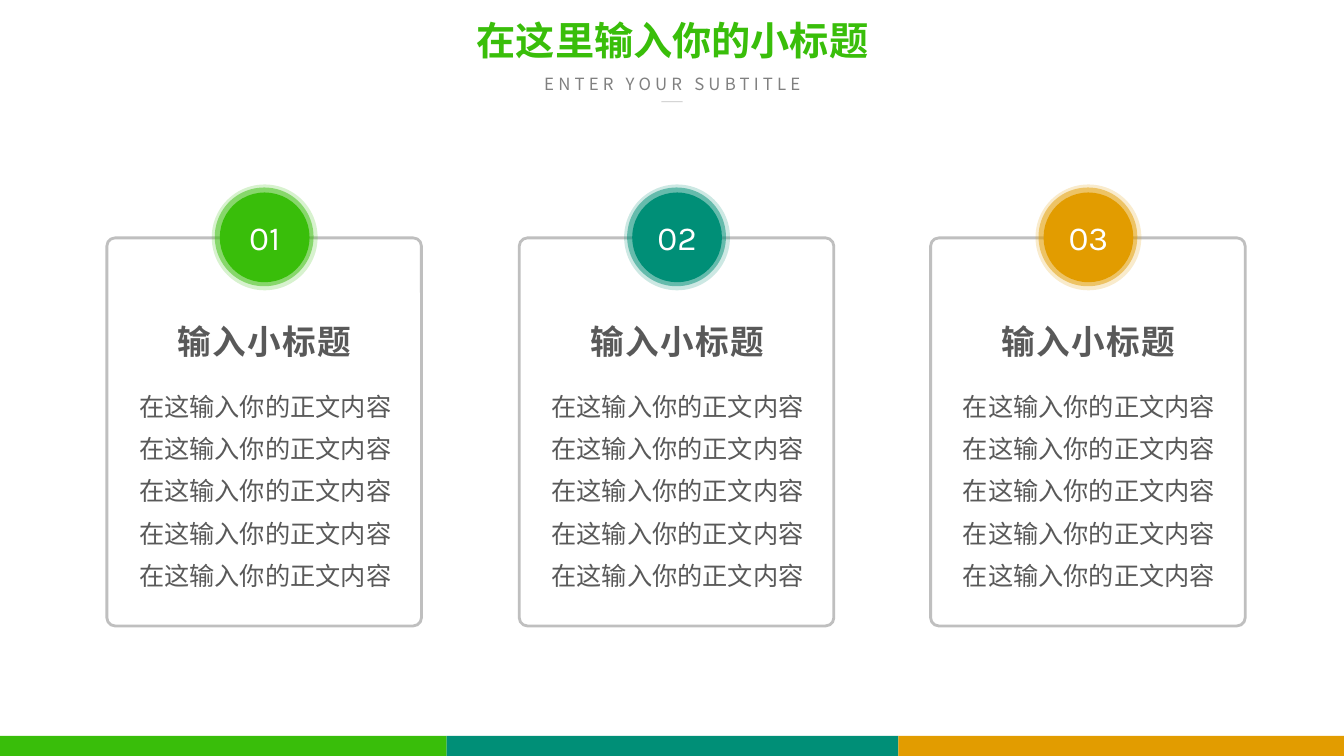
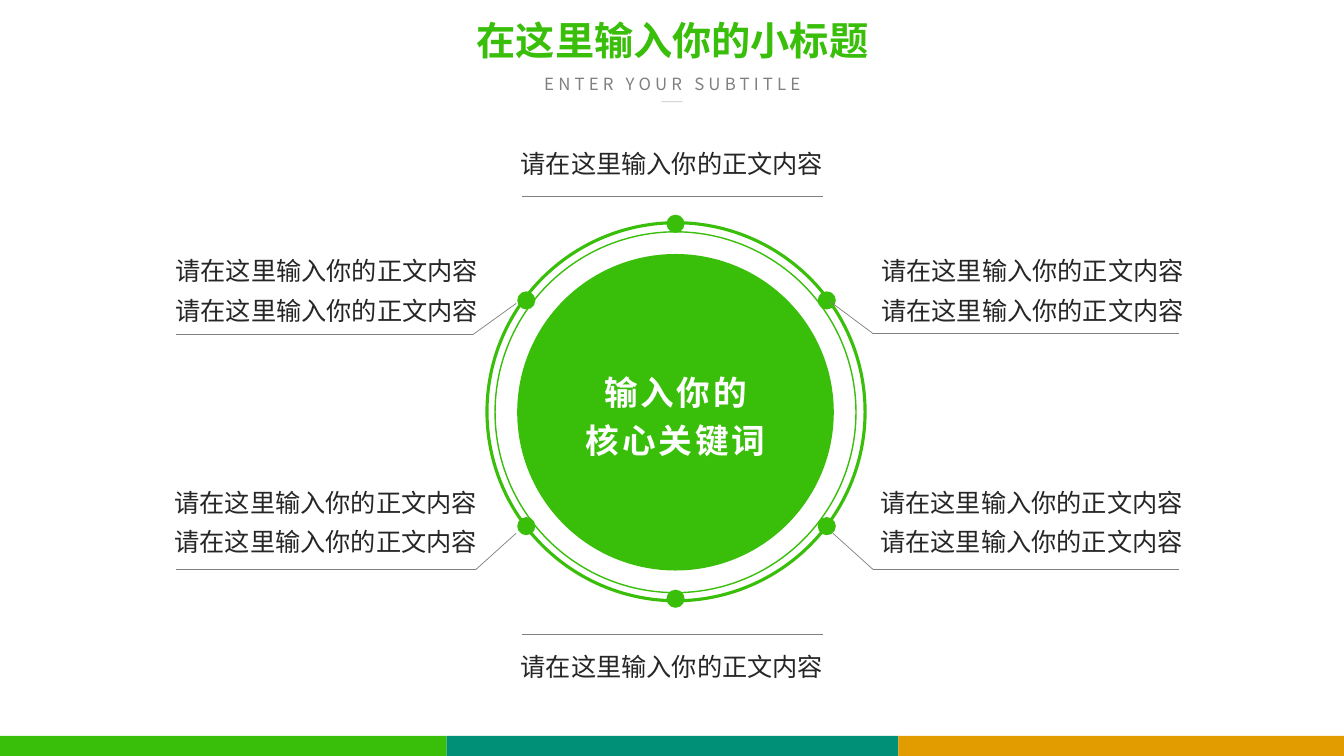
"""Build a three-card slide and a hub diagram slide with a shared title and footer."""
import itertools
from dataclasses import dataclass

import pptx
import pptx.dml.color
import pptx.enum.shapes
import pptx.enum.text
import pptx.oxml.ns
import pptx.util
from lxml import etree

RGB = pptx.dml.color.RGBColor
MSO = pptx.enum.shapes.MSO_SHAPE
ALIGN = pptx.enum.text.PP_ALIGN
ANCHOR = pptx.enum.text.MSO_ANCHOR
qn = pptx.oxml.ns.qn

PX = 9144
GREEN = RGB(0x39, 0xBE, 0x0A)
TEAL = RGB(0x00, 0x8F, 0x77)
AMBER = RGB(0xE2, 0x9C, 0x00)
WHITE = RGB(0xFF, 0xFF, 0xFF)
INK = RGB(0x26, 0x26, 0x26)
DARK = RGB(0x59, 0x59, 0x59)
GRAY = RGB(0x80, 0x80, 0x80)
BORDER = RGB(0xBF, 0xBF, 0xBF)
CJK, ARIAL, KARLA = "Noto Sans CJK SC", "Arial", "Karla"

CARD_LINE = "在这输入你的正文内容"
LABEL_LINE = "请在这里输入你的正文内容"
DOT = 18


@dataclass(frozen=True)
class Card:
    number: str
    left: int
    color: RGB


@dataclass(frozen=True)
class Label:
    left: int
    top: int
    lines: int
    leader: tuple[tuple[int, int], ...]


CARDS = (Card("01", 106, GREEN), Card("02", 515, TEAL), Card("03", 923, AMBER))
BANDS = ((0, 443, GREEN), (443, 448, TEAL), (891, 443, AMBER))
DOTS = ((670, 222), (670, 594), (522, 298), (522, 522), (820, 298), (820, 522))
LABELS = (
    Label(505, 142, 1, ((518, 195), (816, 195))),
    Label(505, 641, 1, ((518, 629), (816, 629))),
    Label(161, 241, 2, ((175, 332), (469, 332), (512, 301))),
    Label(160, 471, 2, ((175, 565), (472, 565), (512, 529))),
    Label(861, 241, 2, ((1169, 331), (866, 331), (823, 299))),
    Label(860, 471, 2, ((1169, 565), (866, 565), (826, 529))),
)


def set_alpha(fill_parent, percent: int) -> None:
    clr = next(fill_parent.iter(qn("a:srgbClr")))
    etree.SubElement(clr, qn("a:alpha")).set("val", str(percent * 1000))


def write(sp, *paragraphs: str, size: int, color: RGB, fonts: tuple = (CJK,),
          bold: bool = False, spacing: int = 0, line_spacing: float = 1.0,
          align=ALIGN.CENTER, wrap: bool = True) -> None:
    tf = sp.text_frame
    tf.word_wrap = wrap
    tf.vertical_anchor = ANCHOR.MIDDLE
    for i, text in enumerate(paragraphs):
        p = tf.add_paragraph() if i else tf.paragraphs[0]
        p.alignment = align
        p.line_spacing = line_spacing
        for j, (part, font) in enumerate(zip(text.split("\n"), itertools.cycle(fonts))):
            if j:
                p.add_line_break()
            r = p.add_run()
            r.text = part
            r.font.name = font
            r.font.size = pptx.util.Pt(size)
            r.font.bold = bold
            r.font.color.rgb = color
            rpr = r.font._element
            rpr.find(qn("a:latin")).addnext(
                etree.Element(qn("a:ea"), typeface=CJK))
            if spacing:
                rpr.set("spc", str(spacing * 100))


def add_text(shapes, left: int, top: int, width: int, height: int,
             *paragraphs: str, **fmt) -> None:
    sp = shapes.add_textbox(left * PX, top * PX, width * PX, height * PX)
    write(sp, *paragraphs, **fmt)


def add_shape(shapes, kind, left: int, top: int, width: int, height: int,
              fill: RGB | None = None, line: RGB | None = None,
              weight: float = 1, alpha: int = 100):
    sp = shapes.add_shape(kind, left * PX, top * PX, width * PX, height * PX)
    sp.shadow.inherit = False
    if fill is None:
        sp.fill.background()
    else:
        sp.fill.solid()
        sp.fill.fore_color.rgb = fill
        if alpha < 100:
            set_alpha(sp._element.spPr, alpha)
    if line is None:
        sp.line.fill.background()
    else:
        sp.line.color.rgb = line
        sp.line.width = pptx.util.Pt(weight)
    return sp


def add_circle(shapes, cx: int, cy: int, size: int, **style):
    return add_shape(shapes, MSO.OVAL, cx - size // 2, cy - size // 2, size, size, **style)


def add_line(shapes, start: tuple[int, int], end: tuple[int, int], alpha: int = 100) -> None:
    c = shapes.add_connector(pptx.enum.shapes.MSO_CONNECTOR.STRAIGHT,
                             *(v * PX for v in start + end))
    c.line.color.rgb = GRAY
    c.line.width = pptx.util.Pt(0.5)
    if alpha < 100:
        set_alpha(c._element.spPr, alpha)
    etree.SubElement(c._element.spPr, qn("a:effectLst"))


def add_base_slide(prs):
    s = prs.slides.add_slide(prs.slide_layouts[6])
    add_text(s.shapes, 431, 16, 472, 53, "在这里输入你的小标题",
             size=28, color=GREEN, bold=True, line_spacing=0.9)
    add_text(s.shapes, 443, 68, 448, 30, "ENTER YOUR SUBTITLE",
             size=12, color=GRAY, spacing=3)
    add_line(s.shapes, (656, 101), (677, 101), alpha=50)
    for left, width, color in BANDS:
        add_shape(s.shapes, MSO.RECTANGLE, left, 730, width, 20, fill=color)
    return s


def add_card(s, card: Card) -> None:
    shapes = s.shapes.add_group_shape().shapes
    frame = add_shape(shapes, MSO.ROUNDED_RECTANGLE, card.left, 236, 312, 385,
                      line=BORDER, weight=2)
    frame.adjustments[0] = 0.026
    for size, alpha in ((105, 20), (98, 50), (89, 100)):
        badge = add_circle(shapes, card.left + 156, 235, size, fill=card.color, alpha=alpha)
    write(badge, card.number, size=24, color=WHITE, fonts=(KARLA,), wrap=False)
    add_text(shapes, card.left - 8, 313, 329, 50, "输入小标题",
             size=24, color=DARK, bold=True, spacing=1)
    add_text(shapes, card.left + 21, 372, 272, 218, CARD_LINE * 2, *[CARD_LINE] * 3,
             size=18, color=DARK, line_spacing=1.4)


def add_label(s, label: Label) -> None:
    single = label.lines == 1
    add_text(s.shapes, label.left, label.top, 323, 40 if single else 85,
             "\n".join([LABEL_LINE] * label.lines), size=18, color=INK,
             fonts=(ARIAL, KARLA), line_spacing=1.0 if single else 1.3,
             align=ALIGN.CENTER if single else ALIGN.RIGHT, wrap=False)
    for start, end in itertools.pairwise(label.leader):
        add_line(s.shapes, start, end)


def add_hub(s) -> None:
    add_circle(s.shapes, 670, 409, 314, fill=GREEN)
    add_circle(s.shapes, 670, 409, 358, line=GREEN)
    add_circle(s.shapes, 670, 408, 375, line=GREEN, weight=2.25)
    for cx, cy in DOTS:
        add_circle(s.shapes, cx, cy, DOT, fill=GREEN)
    add_text(s.shapes, 551, 357, 238, 103, "输入你的", "核心关键词",
             size=24, color=WHITE, bold=True, spacing=2, line_spacing=1.2)


def main() -> None:
    prs = pptx.Presentation()
    prs.slide_width, prs.slide_height = 1333 * PX, 750 * PX
    s = add_base_slide(prs)
    for card in CARDS:
        add_card(s, card)
    s = add_base_slide(prs)
    add_hub(s)
    for label in LABELS:
        add_label(s, label)
    prs.save("out.pptx")


if __name__ == "__main__":
    main()
